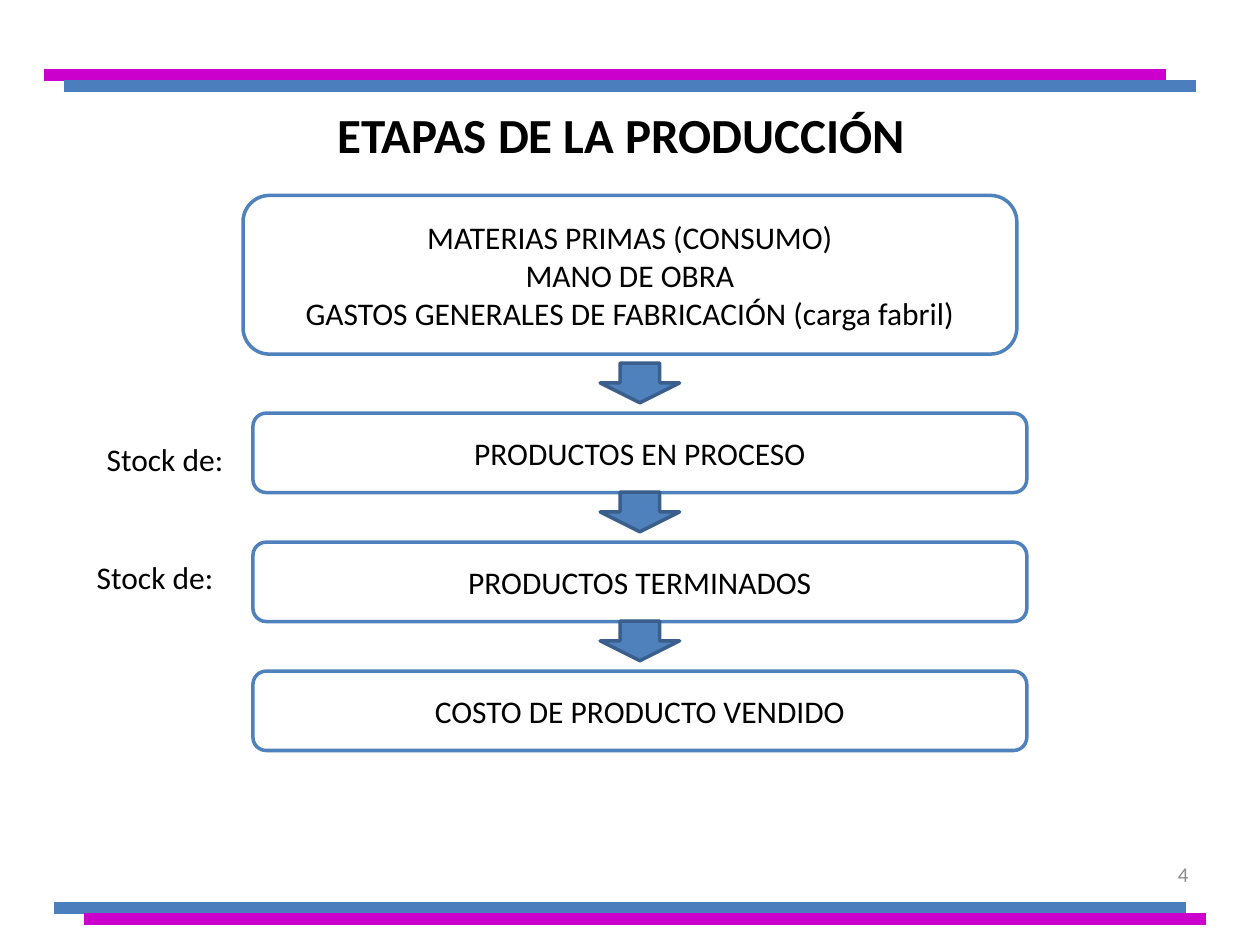
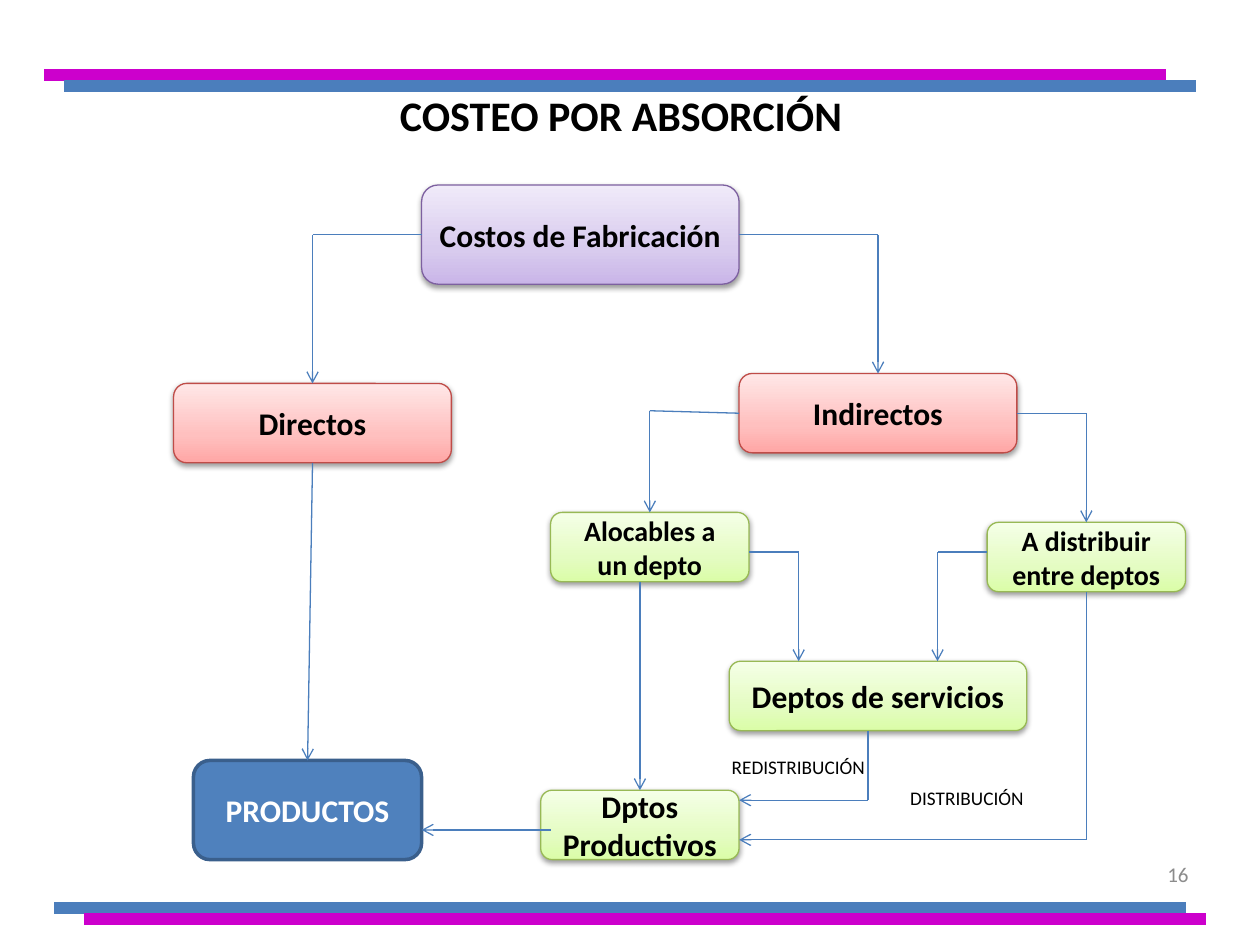
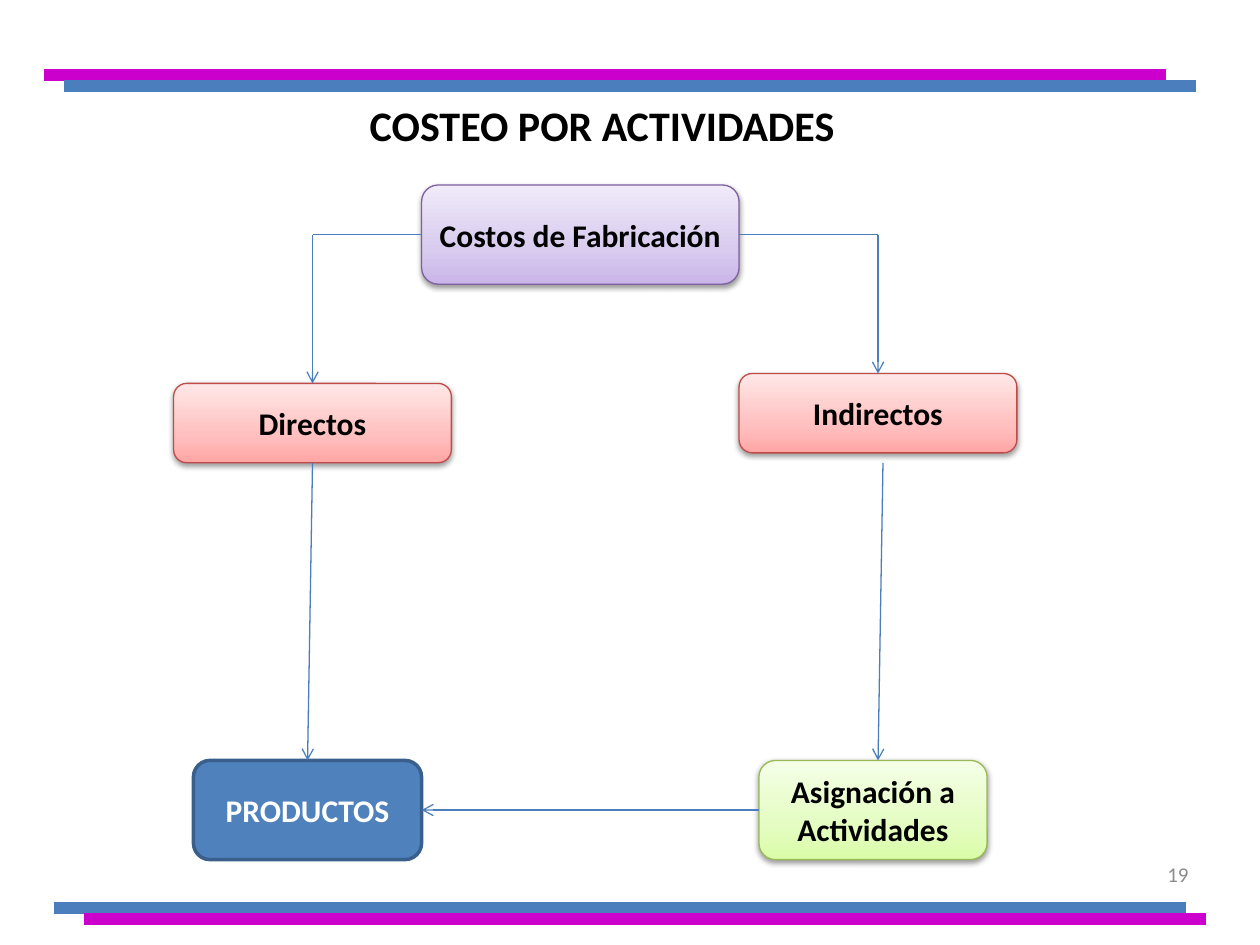
from pptx import Presentation
from pptx.dml.color import RGBColor
from pptx.enum.shapes import MSO_CONNECTOR as CONN, MSO_SHAPE as SHAPE
from pptx.enum.text import MSO_ANCHOR as ANCHOR, MSO_AUTO_SIZE as AUTO, PP_ALIGN as ALIGN
from pptx.oxml import parse_xml
from pptx.oxml.ns import nsdecls, qn
from pptx.util import Cm, Pt
from lxml import etree

FONT = "Calibri"
COLORS = {
    "black": "000000",
    "white": "FFFFFF",
    "grey": "8C8C8C",
    "blue": "4F81BD",
    "dark_blue": "3A5F8C",
    "link": "4B7EBC",
    "magenta": "CC00CC",
    "purple_edge": "7D60A0",
    "red_edge": "BF4C48",
    "green_edge": "98B955",
}
GRADIENTS = {
    "purple": ("C9B5E8", "D8CBEE", "F0EAF9"),
    "red": ("FFA6A5", "FFC0BF", "FFE7E7"),
    "green": ("DAFDA7", "E4FCC2", "F5FFE7"),
}
BANDS = [
    (1.09, 23.9, 18.31, "link"),
    (1.7, 24.31, 18.52, "magenta"),
    (0.89, 23.5, 1.52, "magenta"),
    (1.3, 24.1, 1.73, "link"),
]


def rgb(name):
    return RGBColor.from_string(COLORS[name])


def write(s, lines, size, color="black", bold=False, align=ALIGN.CENTER, anchor=ANCHOR.MIDDLE):
    tf = s.text_frame
    tf.word_wrap = True
    tf.vertical_anchor = anchor
    for i, line in enumerate(lines):
        p = tf.add_paragraph() if i else tf.paragraphs[0]
        p.alignment = align
        r = p.add_run()
        r.text = line
        r.font.name = FONT
        r.font.size = Pt(size)
        r.font.bold = bold
        r.font.color.rgb = rgb(color)


def add_text(sp, at, text, size, **style):
    s = sp.add_textbox(*map(Cm, at))
    write(s, [text], size, **style)
    return s


def add_label(sp, at, text, size):
    s = add_text(sp, at, text, size, align=ALIGN.LEFT, anchor=ANCHOR.TOP)
    s.text_frame.auto_size = AUTO.SHAPE_TO_FIT_TEXT


def add_line(sp, start, end, color="link", width=0.75, arrow=False):
    s = sp.add_connector(CONN.STRAIGHT, *map(Cm, (*start, *end)))
    s.line.color.rgb = rgb(color)
    s.line.width = Pt(width)
    if arrow:
        etree.SubElement(s.line._get_or_add_ln(), qn("a:tailEnd"), type="arrow")
    etree.SubElement(s._element.spPr, qn("a:effectLst"))


def add_route(sp, *points):
    for i, (start, end) in enumerate(zip(points, points[1:]), 2):
        add_line(sp, start, end, arrow=i == len(points))


def add_solid(sp, kind, at, fill, edge):
    s = sp.add_shape(kind, *map(Cm, at))
    s.shadow.inherit = False
    s.fill.solid()
    s.fill.fore_color.rgb = rgb(fill)
    s.line.color.rgb = rgb(edge)
    s.line.width = Pt(2)
    return s


def add_stage(sp, at, *lines):
    write(add_solid(sp, SHAPE.ROUNDED_RECTANGLE, at, "white", "blue"), lines, 18)


def add_node(sp, at, text, tone, size=18):
    s = sp.add_shape(SHAPE.ROUNDED_RECTANGLE, *map(Cm, at))
    s.shadow.inherit = False
    s.line.color.rgb = rgb(tone + "_edge")
    s.line.width = Pt(0.75)
    stops = "".join(
        f'<a:gs pos="{pos}"><a:srgbClr val="{color}"/></a:gs>'
        for pos, color in zip((0, 35000, 100000), GRADIENTS[tone])
    )
    spPr = s._element.spPr
    spPr.find(qn("a:prstGeom")).addnext(parse_xml(
        f'<a:gradFill {nsdecls("a")} rotWithShape="1"><a:gsLst>{stops}</a:gsLst>'
        '<a:lin ang="16200000" scaled="1"/></a:gradFill>'
    ))
    spPr.find(qn("a:effectLst")).append(parse_xml(
        f'<a:outerShdw {nsdecls("a")} blurRad="40000" dist="20000" dir="5400000" rotWithShape="0">'
        '<a:srgbClr val="000000"><a:alpha val="38000"/></a:srgbClr></a:outerShdw>'
    ))
    write(s, [text], size, bold=True)


def add_base(prs, title, title_at, size, number):
    sp = prs.slides.add_slide(prs.slide_layouts[6]).shapes
    for left, right, y, color in BANDS:
        add_line(sp, (left, y), (right, y), color, 6.75)
    add_text(sp, (18.29, 17.12, 5.92, 1.02), number, 12, color="grey", align=ALIGN.RIGHT)
    add_text(sp, title_at, title, size, bold=True)
    return sp


def add_cost_tree(sp):
    add_node(sp, (8.5, 3.73, 6.4, 2), "Costos de Fabricación", "purple")
    add_node(sp, (14.9, 7.53, 5.6, 1.6), "Indirectos", "red")
    add_node(sp, (3.5, 7.73, 5.6, 1.6), "Directos", "red")
    products = add_solid(sp, SHAPE.ROUNDED_RECTANGLE, (3.9, 15.33, 4.6, 2), "blue", "dark_blue")
    write(products, ["PRODUCTOS"], 18, color="white", bold=True)
    add_route(sp, (14.9, 4.73), (17.7, 4.73), (17.7, 7.53))
    add_route(sp, (8.5, 4.73), (6.3, 4.73), (6.3, 7.73))
    add_route(sp, (6.3, 9.33), (6.2, 15.33))


def production_stages(prs):
    sp = add_base(prs, "ETAPAS DE LA PRODUCCIÓN", (1.09, 1.12, 22.86, 3.18), 28, "4")
    add_stage(sp, (4.9, 3.94, 15.6, 3.2), "MATERIAS PRIMAS (CONSUMO)", "MANO DE OBRA",
              "GASTOS GENERALES DE FABRICACIÓN (carga fabril)")
    stages = ["PRODUCTOS EN PROCESO", "PRODUCTOS TERMINADOS", "COSTO DE PRODUCTO VENDIDO"]
    for i, stage in enumerate(stages):
        drop = 2.6 * i
        add_stage(sp, (5.1, 8.33 + drop, 15.6, 1.6), stage)
        add_solid(sp, SHAPE.DOWN_ARROW, (12.1, 7.32 + drop, 1.6, 0.8), "blue", "dark_blue")
    for left, top in [(1.9, 8.74), (1.7, 11.13)]:
        add_label(sp, (left, top, 4, 1.02), "Stock de:", 18)


def absorption_costing(prs):
    sp = add_base(prs, "COSTEO POR ABSORCIÓN", (1.09, 1.12, 22.86, 2.39), 24, "16")
    add_cost_tree(sp)
    add_node(sp, (19.9, 10.53, 4, 1.4), "A distribuir entre deptos", "green", 16)
    add_node(sp, (11.1, 10.33, 4, 1.4), "Alocables a un depto", "green", 16)
    add_node(sp, (14.7, 13.33, 6, 1.4), "Deptos de servicios", "green")
    add_node(sp, (10.9, 15.93, 4, 1.4), "Dptos Productivos", "green")
    add_route(sp, (14.9, 8.33), (13.1, 8.28), (13.1, 10.33))
    add_route(sp, (20.5, 8.33), (21.9, 8.33), (21.9, 10.53))
    add_route(sp, (15.1, 11.13), (16.1, 11.13), (16.1, 13.33))
    add_route(sp, (19.9, 11.13), (18.9, 11.13), (18.9, 13.33))
    add_route(sp, (17.5, 14.73), (17.5, 16.13), (14.9, 16.13))
    add_route(sp, (21.9, 11.93), (21.9, 16.93), (14.9, 16.93))
    add_route(sp, (12.9, 11.73), (12.9, 15.93))
    add_route(sp, (11.1, 16.73), (8.5, 16.73))
    add_label(sp, (14.5, 15.11, 3.2, 0.74), "REDISTRIBUCIÓN", 11)
    add_label(sp, (18.1, 15.72, 3.2, 0.74), "DISTRIBUCIÓN", 11)


def activity_costing(prs):
    sp = add_base(prs, "COSTEO POR ACTIVIDADES", (0.71, 1.32, 22.86, 2.39), 24, "19")
    add_cost_tree(sp)
    add_node(sp, (15.3, 15.33, 4.6, 2), "Asignación a Actividades", "green")
    add_route(sp, (15.3, 16.33), (8.5, 16.33))
    add_route(sp, (17.8, 9.33), (17.7, 15.33))


def main():
    prs = Presentation()
    prs.slide_width = Cm(25.4)
    prs.slide_height = Cm(19.05)
    production_stages(prs)
    absorption_costing(prs)
    activity_costing(prs)
    prs.save("out.pptx")


if __name__ == "__main__":
    main()
